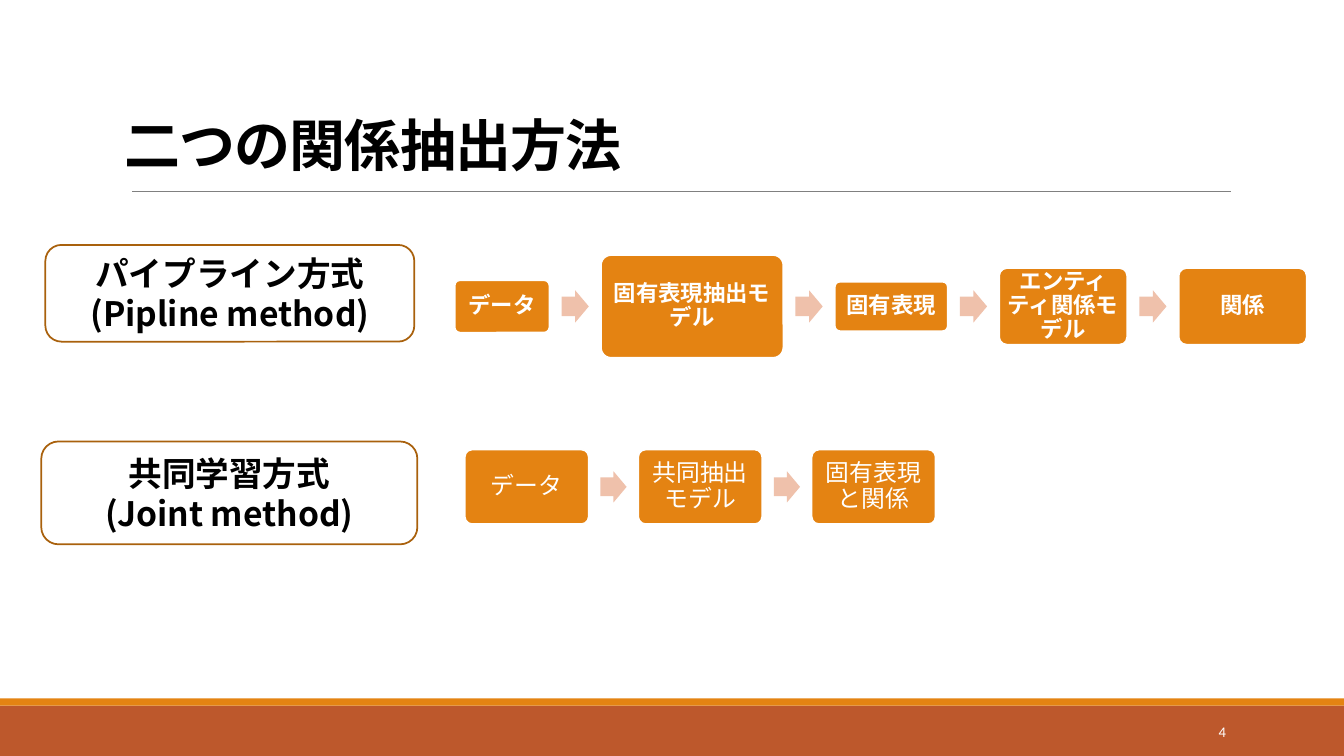
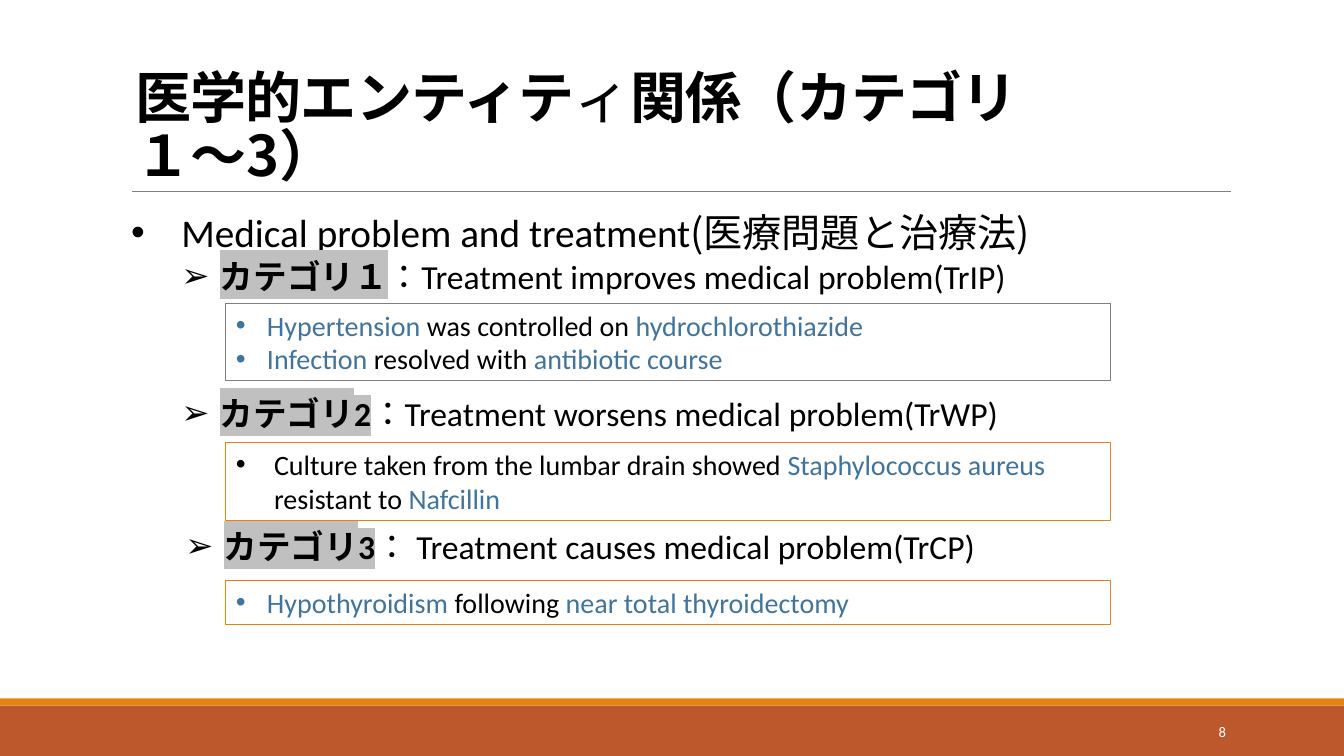
import pptx
import pptx.util
import pptx.dml.color
import pptx.enum.shapes
import pptx.enum.text
import pptx.oxml
import pptx.oxml.ns

Inches = pptx.util.Inches
Pt = pptx.util.Pt
SHAPE = pptx.enum.shapes.MSO_SHAPE
ALIGN = pptx.enum.text.PP_ALIGN
ANCHOR = pptx.enum.text.MSO_ANCHOR
qn = pptx.oxml.ns.qn

WIDE, HIGH = 13.33, 7.5
RUST, ORANGE, BROWN, PINK = "BD582C", "E48312", "A9610D", "EFC1AB"
BLUE, GREY, SILVER, BLACK, WHITE = "40749B", "808080", "C0C0C0", "000000", "FFFFFF"
LATIN, ASIAN = "Calibri", "Noto Sans CJK JP"

BANDS = [((0, 7, WIDE, 0.5), RUST), ((0, 6.93, WIDE, 0.07), ORANGE)]
RULE = (1.31, 1.9, 12.21, 1.9)

LABELS = [
    ((0.45, 2.43, 3.66, 0.96), ["パイプライン方式", "(Pipline method)"]),
    ((0.41, 4.38, 3.73, 1.02), ["共同学習方式", "(Joint method)"]),
]
FLOWS = [
    dict(left=4.51, mid=3.04, gap=0.51, arrow=(0.27, 0.32),
         font=dict(size=16, bold=True, face=ASIAN),
         steps=[("データ", 0.94, 0.52), ("固有表現抽出モデル", 1.81, 1.02),
                ("固有表現", 1.12, 0.49), ("エンティティ関係モデル", 1.27, 0.76),
                ("関係", 1.27, 0.76)]),
    dict(left=4.61, mid=4.83, gap=0.49, arrow=(0.26, 0.31),
         font=dict(size=17),
         steps=[(word, 1.23, 0.74)
                for word in ("データ", "共同抽出モデル", "固有表現と関係")]),
]

TOPIC = [("Medical problem and treatment", {}), ("(医療問題と治療法)", dict(face=ASIAN))]
KINDS = [
    dict(at=(1.2, 2.02, 11.18, 1.28), name="カテゴリ１",
         text="：Treatment improves medical problem(TrIP)",
         top=3.01, high=0.77, edge=GREY, dent=0.31,
         cases=[[("Hypertension", BLUE), (" was controlled on ", BLACK),
                 ("hydrochlorothiazide", BLUE)],
                [("Infection", BLUE), (" resolved with ", BLACK),
                 ("antibiotic course", BLUE)]]),
    dict(at=(1.2, 3.85, 11.18, 1.21), name="カテゴリ2",
         text="：Treatment worsens medical problem(TrWP)",
         top=4.39, high=0.77, edge=ORANGE, dent=0.38,
         cases=[[("Culture taken from the lumbar drain showed ", BLACK),
                 ("Staphylococcus aureus ", BLUE), ("resistant to ", BLACK),
                 ("Nafcillin", BLUE)]]),
    dict(at=(1.24, 5.17, 11.18, 0.81), name="カテゴリ3",
         text="： Treatment causes medical problem(TrCP)",
         top=5.76, high=0.44, edge=ORANGE, dent=0.31,
         cases=[[("Hypothyroidism ", BLUE), ("following", BLACK),
                 (" near total thyroidectomy", BLUE)]]),
]


def paint(code):
    return pptx.dml.color.RGBColor.from_string(code)


def node(tag, **keys):
    item = pptx.oxml.parse_xml(f"<{tag} {pptx.oxml.ns.nsdecls('a')}/>")
    for key, value in keys.items():
        item.set(key, str(value))
    return item


def style(run, size=20, color=BLACK, bold=False, face=LATIN, mark=None, track=0):
    font = run.font
    font.size, font.bold, font.name = Pt(size), bold, face
    font.color.rgb = paint(color)
    props = run._r.get_or_add_rPr()
    props.set("lang", "ja-JP")
    if track:
        props.set("spc", str(int(track * 100)))
    latin = props.find(qn("a:latin"))
    latin.addnext(node("a:ea", typeface=ASIAN))
    if mark:
        light = node("a:highlight")
        light.append(node("a:srgbClr", val=mark))
        latin.addprevious(light)


def write(frame, runs, align=ALIGN.LEFT, lead=1.0, level=0, bullet=None,
          left=0, hang=0, more=False, **font):
    para = frame.add_paragraph() if more else frame.paragraphs[0]
    para.alignment, para.line_spacing, para.level = align, lead, level
    para.space_before = para.space_after = Pt(0)
    if bullet:
        props = para._p.get_or_add_pPr()
        props.set("marL", str(Inches(left)))
        props.set("indent", str(-Inches(hang)))
        props.append(node("a:buFont", typeface="Arial"))
        props.append(node("a:buChar", char=bullet))
    for text, extra in [(runs, {})] if isinstance(runs, str) else runs:
        run = para.add_run()
        run.text = text
        style(run, **{**font, **extra})


def place(shape, at):
    shape.left, shape.top, shape.width, shape.height = map(Inches, at)


def setup(frame, anchor=ANCHOR.TOP):
    frame.word_wrap = True
    frame.auto_size = pptx.enum.text.MSO_AUTO_SIZE.NONE
    frame.vertical_anchor = anchor
    return frame


def draw(slide, kind, at, fill=None, line=None, width=1.25, adjust=()):
    shape = slide.shapes.add_shape(kind, *map(Inches, at))
    shape.shadow.inherit = False
    if fill:
        shape.fill.solid()
        shape.fill.fore_color.rgb = paint(fill)
    else:
        shape.fill.background()
    if line:
        shape.line.color.rgb = paint(line)
        shape.line.width = Pt(width)
    else:
        shape.line.fill.background()
    for spot, value in enumerate(adjust):
        shape.adjustments[spot] = value
    return shape


def box(slide, at, anchor=ANCHOR.TOP):
    return setup(slide.shapes.add_textbox(*map(Inches, at)).text_frame, anchor)


def theme(deck, slide):
    parts = [draw(slide, SHAPE.RECTANGLE, at, fill) for at, fill in BANDS]
    rule = slide.shapes.add_connector(
        pptx.enum.shapes.MSO_CONNECTOR.STRAIGHT, *map(Inches, RULE))
    rule.line.color.rgb = paint(GREY)
    rule.line.width = Pt(0.5)
    rule.element.spPr.append(node("a:effectLst"))
    tree = deck.slide_master.shapes.element
    for spot, part in enumerate(parts + [rule]):
        part.element.xpath(".//p:cNvPr")[0].set("id", str(100 + spot))
        tree.insert(2 + spot, part.element)


def head(slide, at, runs, number):
    title = slide.shapes.title
    place(title, at)
    write(setup(title.text_frame, ANCHOR.BOTTOM), runs, lead=0.85,
          size=40, bold=True, track=-0.5)
    write(box(slide, (10.83, 7.06, 1.43, 0.4), ANCHOR.MIDDLE), number,
          align=ALIGN.RIGHT, size=10.5, color=WHITE)


def flow(slide, left, mid, gap, arrow, font, steps):
    wide, high = arrow
    for spot, (word, width, height) in enumerate(steps):
        if spot:
            draw(slide, SHAPE.RIGHT_ARROW,
                 (left + (gap - wide) / 2, mid - high / 2, wide, high),
                 PINK, adjust=(0.6, 0.5))
            left += gap
        step = draw(slide, SHAPE.ROUNDED_RECTANGLE,
                    (left, mid - height / 2, width, height),
                    ORANGE, WHITE, adjust=(0.1,))
        frame = setup(step.text_frame, ANCHOR.MIDDLE)
        frame.margin_left = frame.margin_right = Inches(0.05)
        frame.margin_top = frame.margin_bottom = Inches(0.05)
        write(frame, word, align=ALIGN.CENTER, lead=0.9, color=WHITE, **font)
        left += width


def methods(slide):
    head(slide, (1.13, 0.72, 10.85, 1.1), "二つの関係抽出方法", "4")
    for at, lines in LABELS:
        label = draw(slide, SHAPE.ROUNDED_RECTANGLE, at, line=BROWN)
        frame = setup(label.text_frame, ANCHOR.MIDDLE)
        for spot, text in enumerate(lines):
            write(frame, text, more=spot > 0, align=ALIGN.CENTER,
                  size=24, bold=True, face=ASIAN)
    for row in FLOWS:
        flow(slide, **row)


def classes(slide):
    head(slide, (1.24, 0.84, 9.78, 1.07),
         [("医学的エンティテ", {}), ("ィ", dict(bold=False)),
          ("関係（カテゴリ１〜3）", dict(face=ASIAN))], "8")
    for spot, kind in enumerate(KINDS):
        if spot == 0:
            body = slide.placeholders[1]
            place(body, kind["at"])
            frame = setup(body.text_frame)
            write(frame, TOPIC, bullet="•", left=0.5, hang=0.5, size=28)
        else:
            frame = box(slide, kind["at"])
        write(frame, [(kind["name"], dict(bold=True, mark=SILVER)), (kind["text"], {})],
              more=spot == 0, level=1, bullet="➢", left=0.88, hang=0.38, size=24)
        panel = draw(slide, SHAPE.RECTANGLE, (2.24, kind["top"], 8.77, kind["high"]),
                     line=kind["edge"], width=0.75)
        frame = setup(panel.text_frame)
        for turn, case in enumerate(kind["cases"]):
            write(frame, [(text, dict(color=color)) for text, color in case],
                  more=turn > 0, bullet="•", left=kind["dent"], hang=kind["dent"])


def main():
    deck = pptx.Presentation()
    deck.slide_width, deck.slide_height = Inches(WIDE), Inches(HIGH)
    first = deck.slides.add_slide(deck.slide_layouts[5])
    theme(deck, first)
    methods(first)
    classes(deck.slides.add_slide(deck.slide_layouts[1]))
    deck.save("out.pptx")


if __name__ == "__main__":
    main()
